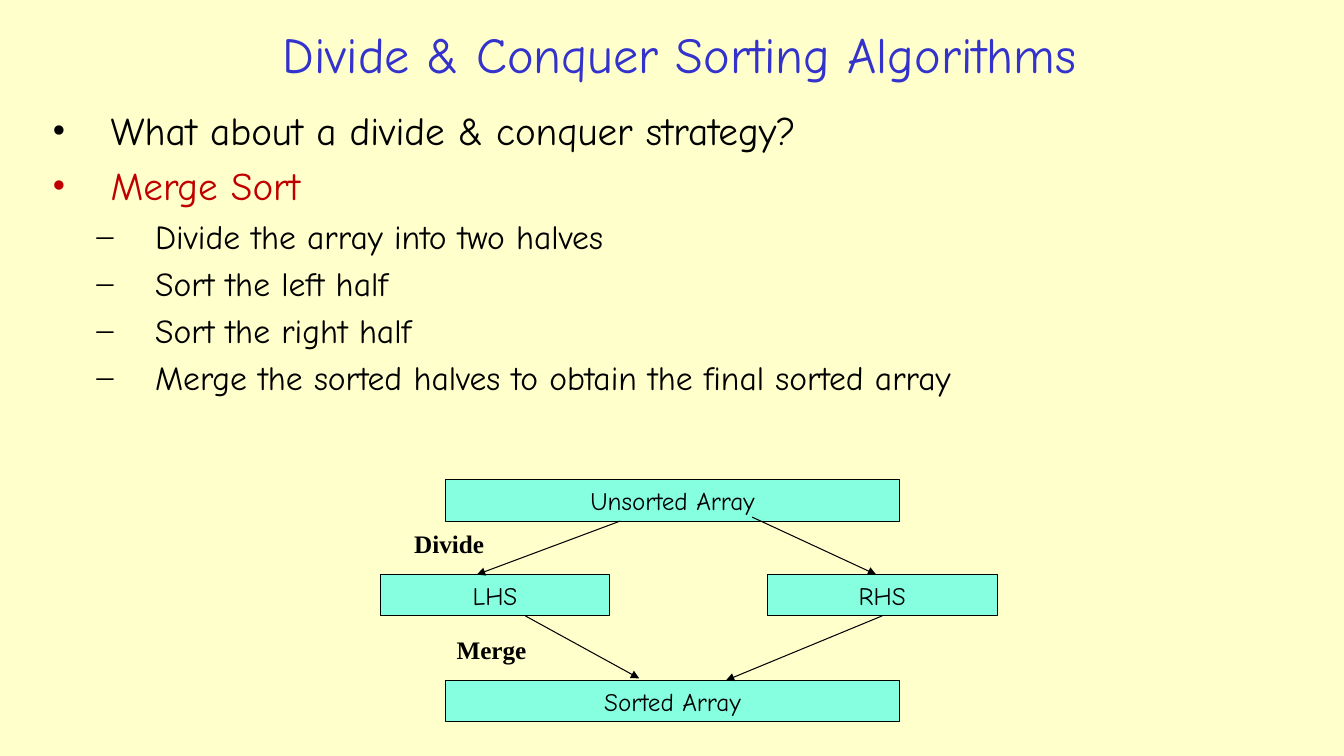
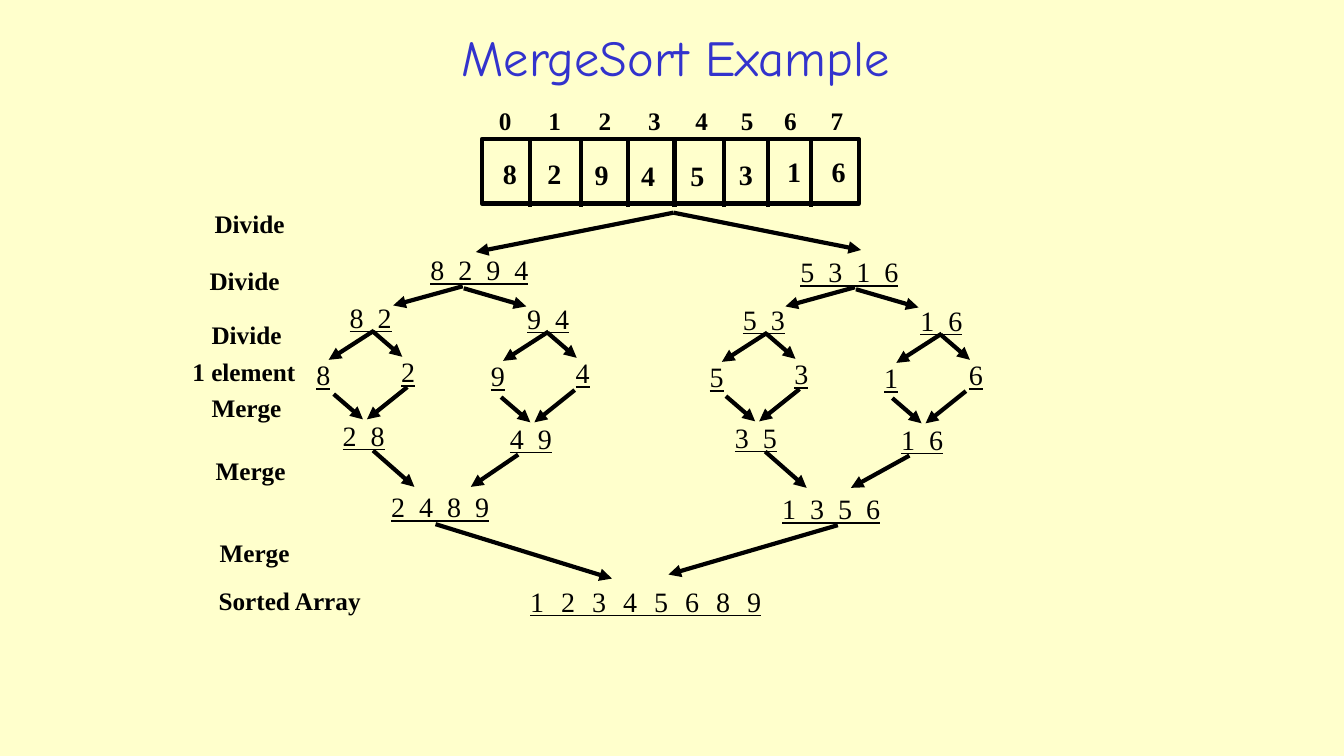
"""Build two slides that explain merge sort."""
from typing import NamedTuple

from lxml.etree import SubElement
from pptx import Presentation
from pptx.dml.color import RGBColor
from pptx.enum.shapes import MSO_CONNECTOR as Link, MSO_SHAPE as Kind
from pptx.enum.text import MSO_ANCHOR as Anchor, PP_ALIGN as Align
from pptx.oxml.ns import qn
from pptx.shapes.autoshape import Shape
from pptx.shapes.connector import Connector
from pptx.slide import Slide
from pptx.text.text import _Paragraph as Para
from pptx.util import Inches, Pt

COMIC, TIMES = "Comic Neue", "Times New Roman"
BLACK, BLUE, RED = "000000", "3333CC", "C00000"
CREAM, MINT = "FFFFCC", "85FFE0"
THIN, THICK = 0.75, 3
GAP = 2.5


class Line(NamedTuple):
    x1: float
    y1: float
    x2: float
    y2: float


class Tag(NamedTuple):
    text: str
    x: float
    y: float
    wide: float = 0.9


class Row(NamedTuple):
    text: str
    x: float
    y: float
    gap: float = GAP


class Point(NamedTuple):
    text: str
    level: int = 0
    color: str = BLACK


class Box(NamedTuple):
    text: str
    x: float
    y: float
    wide: float


POINTS = [
    Point("What about a divide & conquer strategy?"),
    Point("Merge Sort", color=RED),
    Point("Divide the array into two halves", 1),
    Point("Sort the left half", 1),
    Point("Sort the right half", 1),
    Point("Merge the sorted halves to obtain the final sorted array", 1),
]
BOXES = [
    Box("Unsorted Array", 4.42, 4.76, 4.5),
    Box("LHS", 3.77, 5.7, 2.28),
    Box("RHS", 7.61, 5.7, 2.28),
    Box("Sorted Array", 4.42, 6.75, 4.5),
]
FLOW = [
    Line(6.15, 5.17, 4.73, 5.7),
    Line(7.46, 5.13, 8.69, 5.7),
    Line(5.21, 6.11, 6.34, 6.73),
]
PHASES = [Tag("Divide", 4.01, 5.19), Tag("Merge", 4.43, 6.24)]

WALLS = [5.26, 5.76, 6.23, 6.69, 7.18, 7.62, 8.04]
CELLS = [
    Tag("8", 4.89, 1.5), Tag("2", 5.33, 1.5), Tag("9", 5.8, 1.51),
    Tag("4", 6.26, 1.52), Tag("5", 6.75, 1.52), Tag("3", 7.23, 1.51),
    Tag("1", 7.71, 1.48), Tag("6", 8.15, 1.48),
]
HEADS = [4.85, 5.34, 5.84, 6.33, 6.8, 7.25, 7.68, 8.14]
STEPS = [
    Tag("Divide", 2.03, 2.02), Tag("Divide", 1.98, 2.58),
    Tag("Divide", 2, 3.12), Tag("1 element", 1.81, 3.49, 1.22),
    Tag("Merge", 2, 3.84), Tag("Merge", 2.04, 4.47),
    Tag("Merge", 2.08, 5.28), Tag("Sorted Array", 2.07, 5.76, 1.62),
]
ROWS = [
    Row("8 2 9 4", 4.17, 2.46), Row("5 3 1 6", 7.84, 2.48),
    Row("8 2", 3.37, 2.93), Row("9 4", 5.13, 2.94),
    Row("5 3", 7.27, 2.95), Row("1 6", 9.03, 2.96),
    Row("2 8", 3.3, 4.1), Row("4 9", 4.96, 4.13),
    Row("3 5", 7.19, 4.12), Row("1 6", 8.84, 4.14),
    Row("2 4 8 9", 3.78, 4.81), Row("1 3 5 6", 7.66, 4.83),
    Row("1 2 3 4 5 6 8 9", 5.16, 5.75, 3.57),
]
TRUNK = [
    Line(6.68, 2.11, 4.72, 2.5), Line(6.68, 2.11, 8.54, 2.48),
    Line(5.14, 4.51, 4.67, 4.83), Line(9.02, 4.52, 8.44, 4.84),
    Line(4.32, 5.2, 6.07, 5.74), Line(8.31, 5.21, 6.63, 5.7),
]
HALF = [
    Line(4.59, 2.84, 3.9, 3.03), Line(4.6, 2.86, 5.22, 3.04),
    Line(3.7, 4.47, 4.11, 4.83),
]
HALVES = [(0, 0), (3.89, 0.01)]
SPLIT = [Line(0.34, 0.35, -0.11, 0.64), Line(0.33, 0.36, 0.62, 0.61)]
SPLITS = [("82", 3.37, 2.93), ("94", 5.1, 2.94), ("53", 7.27, 2.95), ("16", 9, 2.96)]
JOIN = [Line(0.01, -0.19, 0.3, 0.06), Line(0.74, -0.26, 0.34, 0.06)]


def paint(code: str) -> RGBColor:
    return RGBColor.from_string(code)


def style(para: Para, size: float, face: str, color: str = BLACK) -> None:
    font = para.font
    font.size, font.name = Pt(size), face
    font.color.rgb = paint(color)


def write(slide: Slide, text: str, x: float, y: float, wide: float, high: float,
          size: float, face: str = TIMES, color: str = BLACK) -> Shape:
    shape = slide.shapes.add_textbox(Inches(x), Inches(y), Inches(wide), Inches(high))
    shape.text_frame.word_wrap = False
    para = shape.text_frame.paragraphs[0]
    para.text = text
    style(para, size, face, color)
    return shape


def label(slide: Slide, tag: Tag, size: float = 18) -> None:
    shape = write(slide, tag.text, tag.x, tag.y, tag.wide, 0.4, size)
    shape.text_frame.paragraphs[0].font.bold = True


def digits(slide: Slide, row: Row) -> None:
    count = len(row.text.split())
    wide = 0.3 + (10 * count + (5 + 2 * row.gap) * (count - 1)) / 72
    shape = write(slide, row.text, row.x, row.y, wide, 0.43, 20)
    shape.text_frame.word_wrap = True
    para = shape.text_frame.paragraphs[0]
    para.font.underline = True
    if count > 1:
        para.runs[0].font._element.set("spc", str(round(row.gap * 100)))


def rule(slide: Slide, line: Line, width: float, arrow: bool = True) -> Connector:
    ends = [Inches(part) for part in line]
    link = slide.shapes.add_connector(Link.STRAIGHT, *ends)
    link.line.color.rgb = paint(BLACK)
    link.line.width = Pt(width)
    if arrow:
        SubElement(link.line._get_or_add_ln(), qn("a:tailEnd"), type="triangle")
    SubElement(link._element.spPr, qn("a:effectLst"))
    return link


def shift(slide: Slide, lines: list[Line], x: float, y: float) -> None:
    for line in lines:
        rule(slide, Line(line.x1 + x, line.y1 + y, line.x2 + x, line.y2 + y), THICK)


def block(slide: Slide, x: float, y: float, wide: float, high: float, width: float) -> Shape:
    shape = slide.shapes.add_shape(
        Kind.RECTANGLE, Inches(x), Inches(y), Inches(wide), Inches(high))
    shape.shadow.inherit = False
    shape.fill.background()
    shape.line.color.rgb = paint(BLACK)
    shape.line.width = Pt(width)
    return shape


def panel(slide: Slide, box: Box) -> Shape:
    shape = block(slide, box.x, box.y, box.wide, 0.41, THIN)
    shape.fill.solid()
    shape.fill.fore_color.rgb = paint(MINT)
    frame = shape.text_frame
    frame.word_wrap, frame.vertical_anchor = False, Anchor.MIDDLE
    para = frame.paragraphs[0]
    para.text, para.alignment = box.text, Align.CENTER
    style(para, 18, COMIC)
    return shape


def bullets(slide: Slide, points: list[Point]) -> None:
    shape = slide.shapes.add_textbox(Inches(0.42), Inches(1.01), Inches(12.33), Inches(3.47))
    frame = shape.text_frame
    frame.word_wrap = True
    for index, point in enumerate(points):
        para = frame.add_paragraph() if index else frame.paragraphs[0]
        para.text, para.level = point.text, point.level
        size, mark, indent = ((28, "•", 0.58), (24, "–", 1.02))[point.level]
        style(para, size, COMIC, point.color)
        para.space_before = Pt(size * 0.2)
        props = para._p.get_or_add_pPr()
        props.set("marL", str(Inches(indent)))
        props.set("indent", str(Inches(-0.58)))
        face = SubElement(props, qn("a:buFont"), typeface=TIMES)
        char = SubElement(props, qn("a:buChar"), char=mark)
        base = props.find(qn("a:defRPr"))
        base.addprevious(face)
        base.addprevious(char)


def start(deck: Presentation, title: str, x: float, y: float) -> Slide:
    slide = deck.slides.add_slide(deck.slide_layouts[6])
    fill = slide.background.fill
    fill.solid()
    fill.fore_color.rgb = paint(CREAM)
    frame = write(slide, title, x, y, 9.54, 0.76, 36, COMIC, BLUE).text_frame
    frame.word_wrap, frame.vertical_anchor = True, Anchor.MIDDLE
    frame.paragraphs[0].alignment = Align.CENTER
    return slide


def theory(deck: Presentation) -> None:
    slide = start(deck, "Divide & Conquer Sorting Algorithms", 1.97, 0.15)
    bullets(slide, POINTS)
    panels = {box.text: panel(slide, box) for box in BOXES}
    for line in FLOW:
        rule(slide, line, THIN)
    merge = rule(slide, Line(8.75, 6.11, 7.2, 6.75), THIN)
    merge.begin_connect(panels["RHS"], 2)
    for tag in PHASES:
        label(slide, tag)


def example(deck: Presentation) -> None:
    slide = start(deck, "MergeSort Example", 1.93, 0.18)
    block(slide, 4.78, 1.38, 3.74, 0.64, THICK)
    for x in WALLS:
        rule(slide, Line(x, 1.39, x, 2.05), THICK, arrow=False)
    for cell in CELLS:
        label(slide, cell._replace(wide=0.34), 20)
    for index, x in enumerate(HEADS):
        label(slide, Tag(str(index), x, 1, 0.33))
    for step in STEPS:
        label(slide, step)
    for row in ROWS:
        digits(slide, row)
    shift(slide, TRUNK, 0, 0)
    for x, y in HALVES:
        shift(slide, HALF, x, y)
    for (left, right), x, y in SPLITS:
        digits(slide, Row(left, x - 0.33, y + 0.57))
        digits(slide, Row(right, x + 0.51, y + 0.54))
        shift(slide, SPLIT, x, y)
    for row in ROWS[6:10]:
        shift(slide, JOIN, row.x, row.y)


def main() -> None:
    deck = Presentation()
    deck.slide_width, deck.slide_height = Inches(13.33), Inches(7.5)
    theory(deck)
    example(deck)
    deck.save("out.pptx")


if __name__ == "__main__":
    main()
